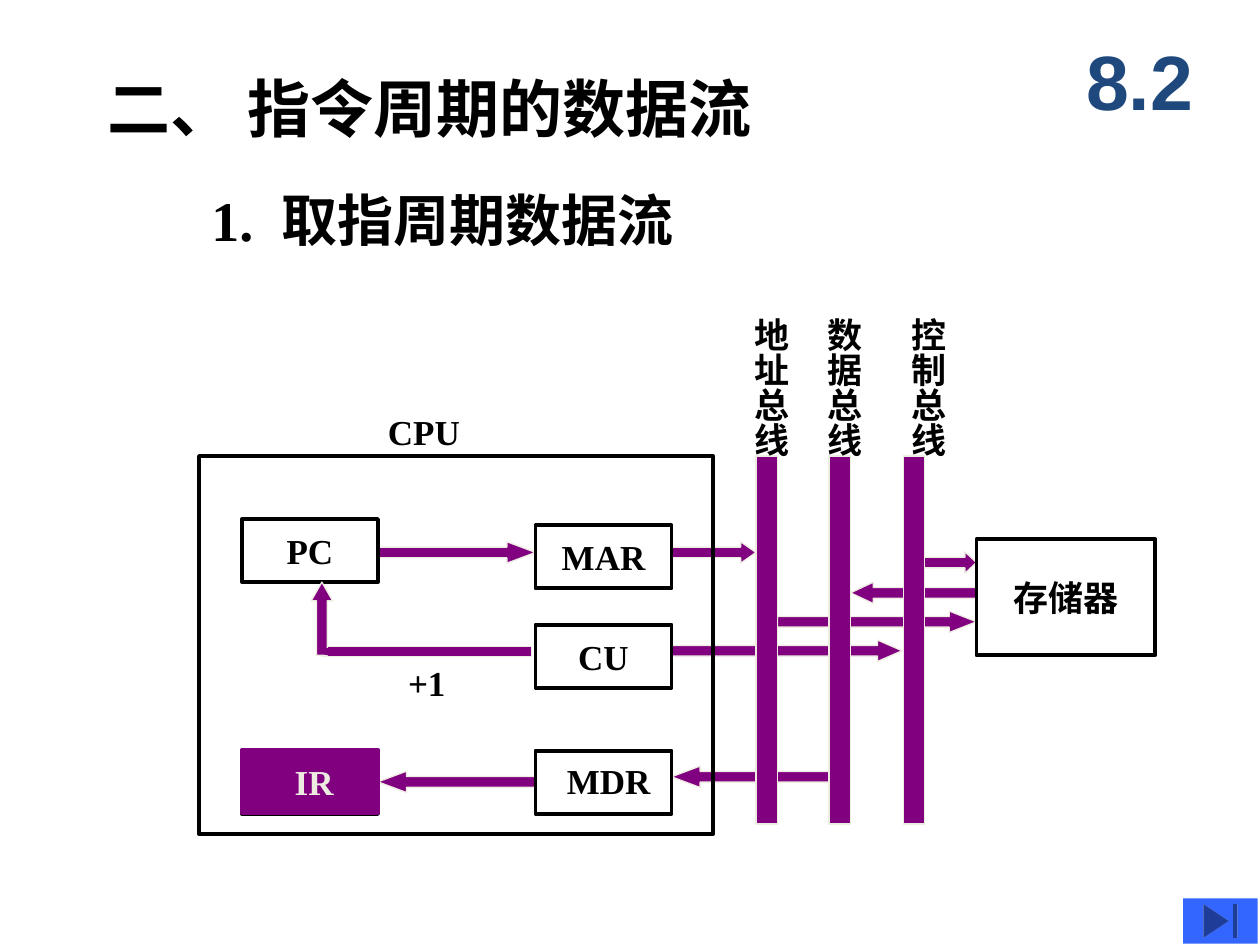
from pptx import Presentation
from pptx.dml.color import RGBColor
from pptx.enum.shapes import MSO_SHAPE
from pptx.enum.text import MSO_ANCHOR, MSO_AUTO_SIZE, PP_ALIGN
from pptx.util import Inches, Pt

COLORS = {"ink": "000000", "flow": "800080", "edge": "EEECE1",
          "number": "1F497D", "button": "3366FF"}
CELL = 1 / 12  # grid of 120 columns by 90 rows, in inches
BUS_TOP, BUS_HEIGHT, BAR = 43.5, 35, 2
REGISTER = (13, 6)


def color(name):
    """Return a named colour."""
    return RGBColor.from_string(COLORS[name])


def grid(*cells):
    """Turn grid cells into lengths."""
    return [Inches(round(cell * CELL, 2)) for cell in cells]


class Diagram:
    """Holds the text style and the current page."""

    def __init__(self, page):
        self.page = page
        self.font = {"name": "Times New Roman", "bold": True}

    def set_text(self, box, text, size=20, ink="ink", font=None, **frame_format):
        """Put one styled paragraph into a box."""
        frame = box.text_frame
        settings = {"word_wrap": False, "vertical_anchor": MSO_ANCHOR.TOP,
                    "auto_size": MSO_AUTO_SIZE.NONE}
        align = frame_format.pop("align", PP_ALIGN.LEFT)
        for key, value in {**settings, **frame_format}.items():
            setattr(frame, key, value)
        para = frame.paragraphs[0]
        para.alignment = align
        span = para.add_run()
        span.text = text
        for key, value in {**self.font, "size": Pt(size), **(font or {})}.items():
            setattr(span.font, key, value)
        span.font.color.rgb = color(ink)

    def title(self, area, text, size):
        """Place the title placeholder."""
        box = self.page.shapes.title
        for key, value in zip(("left", "top", "width", "height"), grid(*area)):
            setattr(box, key, value)
        self.set_text(box, text, size, word_wrap=True)

    def label(self, area, text, size=20, vertical=False, **style):
        """Add a text box, with upright stacked characters if vertical."""
        box = self.page.shapes.add_textbox(*grid(*area))
        self.set_text(box, text, size, **style)
        if vertical:
            box.text_frame._txBody.bodyPr.set("vert", "eaVert")

    def shape(self, kind, area, fill=None, line=None, width=0.75):
        """Add a preset shape without shadow."""
        shape = self.page.shapes.add_shape(kind, *grid(*area))
        shape.shadow.inherit = False
        if fill:
            shape.fill.solid()
            shape.fill.fore_color.rgb = color(fill)
        else:
            shape.fill.background()
        if line:
            shape.line.color.rgb = color(line)
            shape.line.width = Pt(width)
        else:
            shape.line.fill.background()
        return shape

    def block(self, area, text=None):
        """Add an outlined block with an optional centred name."""
        shape = self.shape(MSO_SHAPE.RECTANGLE, area, line="ink", width=2.25)
        if text:
            self.set_text(shape, text, align=PP_ALIGN.CENTER,
                          vertical_anchor=MSO_ANCHOR.MIDDLE)

    def bar(self, *area, line="edge", width=0.75):
        """Add a filled bar."""
        return self.shape(MSO_SHAPE.RECTANGLE, area, "flow", line, width)

    def arrow(self, left, top, length, head, turn=0):
        """Add a horizontal flow arrow; a half turn points it left."""
        arrow = self.shape(MSO_SHAPE.RIGHT_ARROW, (left, top, length, BAR),
                           "flow", "edge")
        arrow.adjustments[1] = head
        arrow.rotation = turn


def main():
    """Build the slide."""
    deck = Presentation()
    deck.slide_width, deck.slide_height = Inches(10), Inches(7.5)
    page = deck.slides.add_slide(deck.slide_layouts[5])
    diagram = Diagram(page)

    diagram.title((9, 6, 75, 8.4), "二、 指令周期的数据流", 36)
    diagram.label((19, 17, 75, 7.6), "1.  取指周期数据流", 32, word_wrap=True)

    for flow in [
        (36, 73.5, 15, 1.333, 180),
        (36, 51.6, 15, 1.333),
        (64, 51.6, 8, 0.711),
        (64, 73, 15, 1.333, 180),
        (64, 61, 22, 1.146),
        (74, 58.2, 19, 1.271),
        (81, 55.5, 12, 1.067, 180),
        (87, 52.5, 6, 0.533),
    ]:
        diagram.arrow(*flow)

    for left, top, name in [(51, 71.5, None), (51, 59.5, "CU"),
                            (51, 50, "MAR"), (23, 49.5, "PC")]:
        diagram.block((left, top, *REGISTER), name)
    diagram.label((52.8, 71.8, 10.4, 5.2), "MDR")

    diagram.block((19, BUS_TOP, 49, 36))
    diagram.label((35.8, 38.5, 9.2, 5.2), "CPU")
    for left, label_left, name in [(72, 69.6, "地址总线"), (79, 76.6, "数据总线"),
                                   (86, 84.6, "控制总线")]:
        diagram.bar(left, BUS_TOP, BAR, BUS_HEIGHT)
        diagram.label((label_left, 29, 6.4, 14.5), name, vertical=True)
    diagram.block((93, 51.4, 17, 11), "存储器")

    diagram.block((23, 71.5, *REGISTER))
    diagram.bar(23, 71.4, *REGISTER, line="flow", width=2.25)
    diagram.set_text(diagram.bar(26.9, 71.9, 6.2, 5.3, line="flow"), "IR", ink="edge")

    diagram.bar(30.6, 61.6, 20, 1)
    step = diagram.shape(MSO_SHAPE.UP_ARROW, (29.6, 55.5, BAR, 7), "flow", "edge")
    step.adjustments[1] = 0.875
    diagram.bar(31, 61.8, 0.7, 0.5, line="flow")
    diagram.label((37.7, 62.4, 21, 5.2), "+1", word_wrap=True)

    diagram.label((101, 2, 15, 11), "8.2", 44, ink="number", font={"name": "Arial"},
                  align=PP_ALIGN.CENTER, vertical_anchor=MSO_ANCHOR.MIDDLE,
                  word_wrap=True)
    diagram.shape(MSO_SHAPE.ACTION_BUTTON_END, (112.7, 85.6, 7.1, 4.3), "button")
    deck.save("out.pptx")


main()
